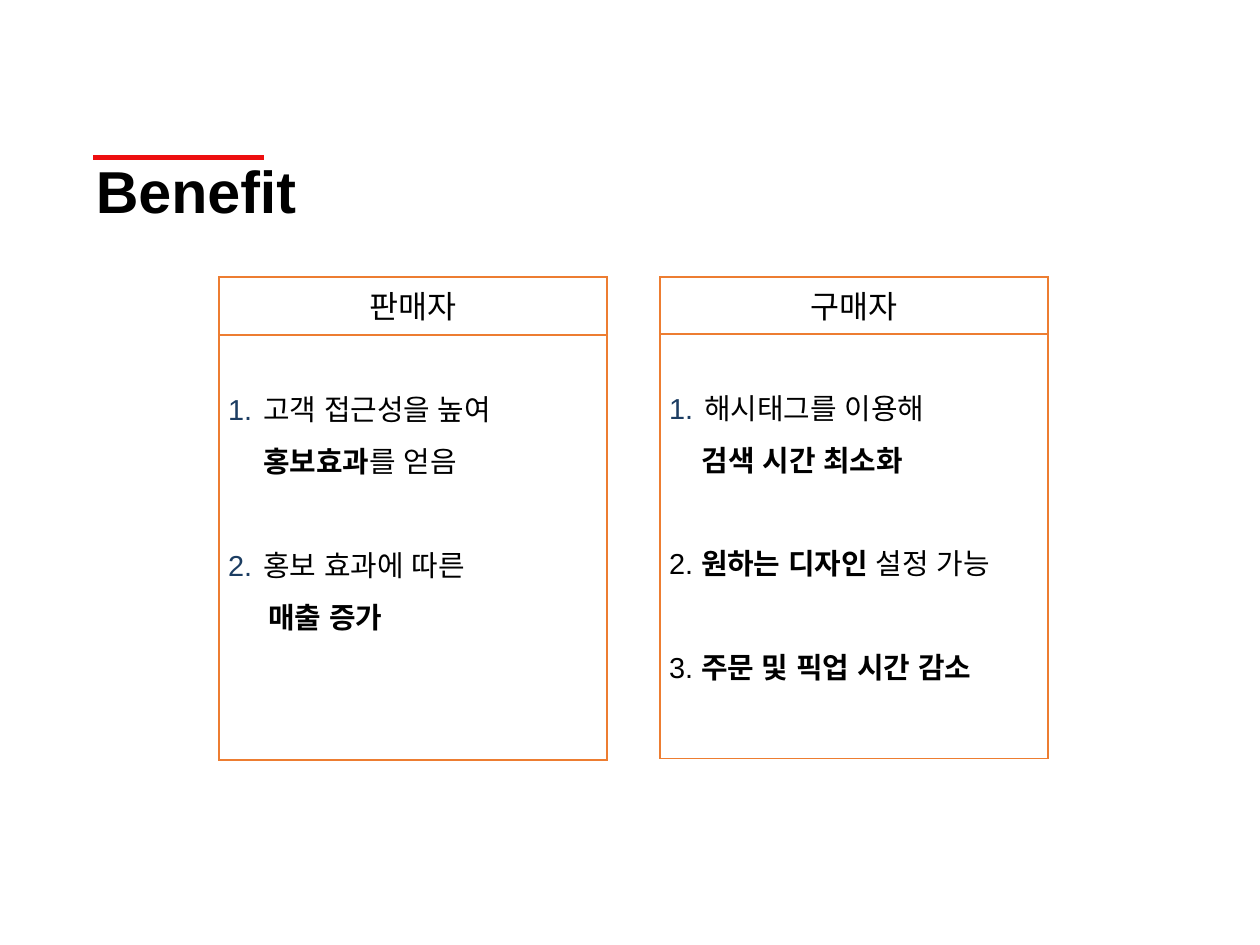
from lxml import etree
from pptx import Presentation
from pptx.dml.color import RGBColor
from pptx.enum.shapes import MSO_SHAPE
from pptx.enum.text import MSO_ANCHOR, PP_ALIGN
from pptx.oxml.ns import qn
from pptx.util import Inches, Pt

RECT, MINUS = MSO_SHAPE.RECTANGLE, MSO_SHAPE.MATH_MINUS
TOP, MIDDLE = MSO_ANCHOR.TOP, MSO_ANCHOR.MIDDLE
LEFT, CENTER = PP_ALIGN.LEFT, PP_ALIGN.CENTER
COLORS = {"text": "000000", "fill": "FFFFFF", "border": "ED7D31",
          "accent": "ED0E0F", "number": "1C3D62"}
FONT = "Arial"
BLANK_LINE = 29.7

prs = Presentation()
prs.slide_width, prs.slide_height = Inches(10), Inches(7.5)
s = prs.slides.add_slide(prs.slide_layouts[6])


def add_box(kind, x, y, w, h, fill, line):
    sp = s.shapes.add_shape(kind, Inches(x), Inches(y), Inches(w), Inches(h))
    sp.shadow.inherit = False
    sp.fill.solid()
    sp.fill.fore_color.rgb = RGBColor.from_string(COLORS[fill])
    sp.line.color.rgb = RGBColor.from_string(COLORS[line])
    sp.line.width = Pt(1)
    etree.SubElement(sp._element.spPr.find(qn("a:ln")), qn("a:miter"), lim="800000")
    return sp


def fill_text(sp, paras, size, anchor, align, spacing, top=0.04):
    tf = sp.text_frame
    tf.word_wrap = True
    tf.vertical_anchor = anchor
    tf.margin_left = tf.margin_right = Inches(0.07)
    tf.margin_top, tf.margin_bottom = Inches(top), Inches(0.04)
    for i, (number, indent, before, runs) in enumerate(paras):
        p = tf.paragraphs[0] if i == 0 else tf.add_paragraph()
        p.alignment = align
        p.line_spacing = spacing
        if before:
            p.space_before = Pt(before)
        pPr = p._p.get_or_add_pPr()
        if indent:
            pPr.set("marL", str(Inches(indent)))
        if number:
            pPr.set("indent", str(-Inches(indent)))
            clr = etree.SubElement(pPr, qn("a:buClr"))
            etree.SubElement(clr, qn("a:srgbClr"), val=COLORS["number"])
            etree.SubElement(pPr, qn("a:buAutoNum"), type="arabicPeriod", startAt=str(number))
        for text, bold in runs:
            r = p.add_run()
            r.text = text
            r.font.size = Pt(size)
            r.font.bold = bold
            r.font.color.rgb = RGBColor.from_string(COLORS["text"])
            r.font.name = FONT
            etree.SubElement(r.font._element, qn("a:ea"), typeface=FONT)


title = s.shapes.add_textbox(Inches(0.69), Inches(1.23), Inches(8.62), Inches(0.63))
fill_text(title, [(None, 0, 0, [("Benefit", True)])], 33.8, MIDDLE, LEFT, 0.9)
add_box(MINUS, 0.5, 1.21, 1.83, 0.08, "accent", "accent")

panels = [
    (1.74, 0.46, "판매자", [
        (1, 0.28, 0, [("고객 접근성을 높여 ", False), ("홍보효과", True), ("를 얻음", False)]),
        (2, 0.28, BLANK_LINE, [("홍보 효과에 따른", False)]),
        (None, 0.32, 0, [("매출 증가", True)]),
    ]),
    (5.24, 0.45, "구매자", [
        (1, 0.28, 0, [("해시태그를 이용해", False)]),
        (None, 0.26, 0, [("검색 시간 최소화", True)]),
        (None, 0, BLANK_LINE, [("2. ", False), ("원하는 디자인 ", True), ("설정 가능", False)]),
        (None, 0, BLANK_LINE, [("3. ", False), ("주문 및 픽업 시간 감소", True)]),
    ]),
]
for x, head_h, heading, items in panels:
    head = add_box(RECT, x, 2.2, 3.08, head_h, "fill", "border")
    fill_text(head, [(None, 0, 0, [(heading, False)])], 18, MIDDLE, CENTER, 1.0)
    body = add_box(RECT, x, 2.2 + head_h, 3.08, 3.37, "fill", "border")
    fill_text(body, items, 16.5, TOP, LEFT, 1.5, top=0.31)

prs.save("out.pptx")
